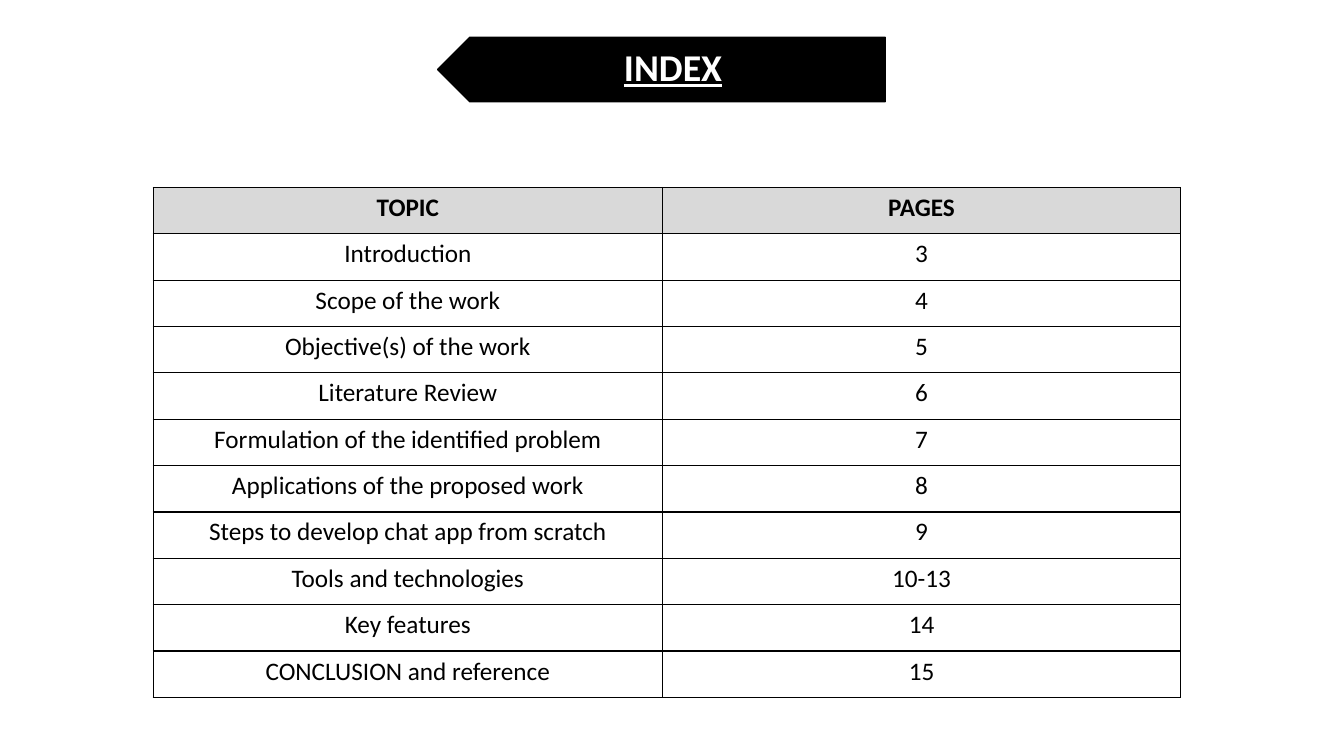
"""Build the index slide: an arrow banner above a table of topics and pages."""
from pptx import Presentation
from pptx import oxml, util as u
from pptx.dml.color import RGBColor
from pptx.enum import shapes, text
from pptx.oxml import ns

COLORS = {"black": "000000", "white": "FFFFFF", "header": "D9D9D9"}
ROWS = [
    ("TOPIC", "PAGES"),
    ("Introduction", "3"),
    ("Scope of the work", "4"),
    ("Objective(s) of the work", "5"),
    ("Literature Review", "6"),
    ("Formulation of the identified problem", "7"),
    ("Applications of the proposed work", "8"),
    ("Steps to develop chat app from scratch", "9"),
    ("Tools and technologies", "10-13"),
    ("Key features", "14"),
    ("CONCLUSION and reference", "15"),
]
COL_WIDTHS = [5.05, 5.14]
ROW_HEIGHT = 0.46


def style_text(p, size, color, bold):
    p.alignment = text.PP_ALIGN.CENTER
    font = p.runs[0].font
    font.name, font.size, font.bold = "Calibri", u.Pt(size), bold
    font.color.rgb = RGBColor.from_string(COLORS[color])


def add_borders(cell, color):
    tcPr = cell._tc.get_or_add_tcPr()
    for i, side in enumerate("LRTB"):
        tcPr.insert(i, oxml.parse_xml(
            f'<a:ln{side} {ns.nsdecls("a")} w="12700"><a:solidFill>'
            f'<a:srgbClr val="{COLORS[color]}"/></a:solidFill></a:ln{side}>'))


prs = Presentation()
prs.slide_width, prs.slide_height = u.Inches(13.33), u.Inches(7.5)
slide = prs.slides.add_slide(prs.slide_layouts[6])

banner = slide.shapes.add_group_shape()
sp = banner.shapes.add_shape(
    shapes.MSO_SHAPE.PENTAGON, u.Inches(4.34), u.Inches(0.37), u.Inches(4.44), u.Inches(0.64))
sp.rotation = 180
sp.shadow.inherit = False
sp.fill.solid()
sp.fill.fore_color.rgb = RGBColor.from_string(COLORS["black"])
sp.line.color.rgb = RGBColor.from_string(COLORS["black"])
sp.line.width = u.Pt(1)

title = banner.shapes.add_textbox(u.Inches(4.5), u.Inches(0.37), u.Inches(4.28), u.Inches(0.64))
tf = title.text_frame
tf.word_wrap = True
tf.vertical_anchor = text.MSO_ANCHOR.MIDDLE
tf.margin_left, tf.margin_right = u.Inches(0.28), u.Inches(0.21)
tf.margin_top = tf.margin_bottom = u.Inches(0.11)
tf.text = "INDEX"
p = tf.paragraphs[0]
p.line_spacing = 0.9
style_text(p, 27, "white", True)
p.runs[0].font.underline = True

table = slide.shapes.add_table(
    len(ROWS), len(COL_WIDTHS), u.Inches(1.52), u.Inches(1.86),
    u.Inches(sum(COL_WIDTHS)), u.Inches(ROW_HEIGHT * len(ROWS))).table
table.horz_banding = False
for col, width in zip(table.columns, COL_WIDTHS):
    col.width = u.Inches(width)
for i, (row, values) in enumerate(zip(table.rows, ROWS)):
    row.height = u.Inches(ROW_HEIGHT)
    for cell, value in zip(row.cells, values):
        cell.text_frame.text = value
        style_text(cell.text_frame.paragraphs[0], 18, "black", i == 0)
        if i == 0:
            cell.fill.solid()
            cell.fill.fore_color.rgb = RGBColor.from_string(COLORS["header"])
        else:
            cell.fill.background()
        add_borders(cell, "black")

prs.save("out.pptx")
